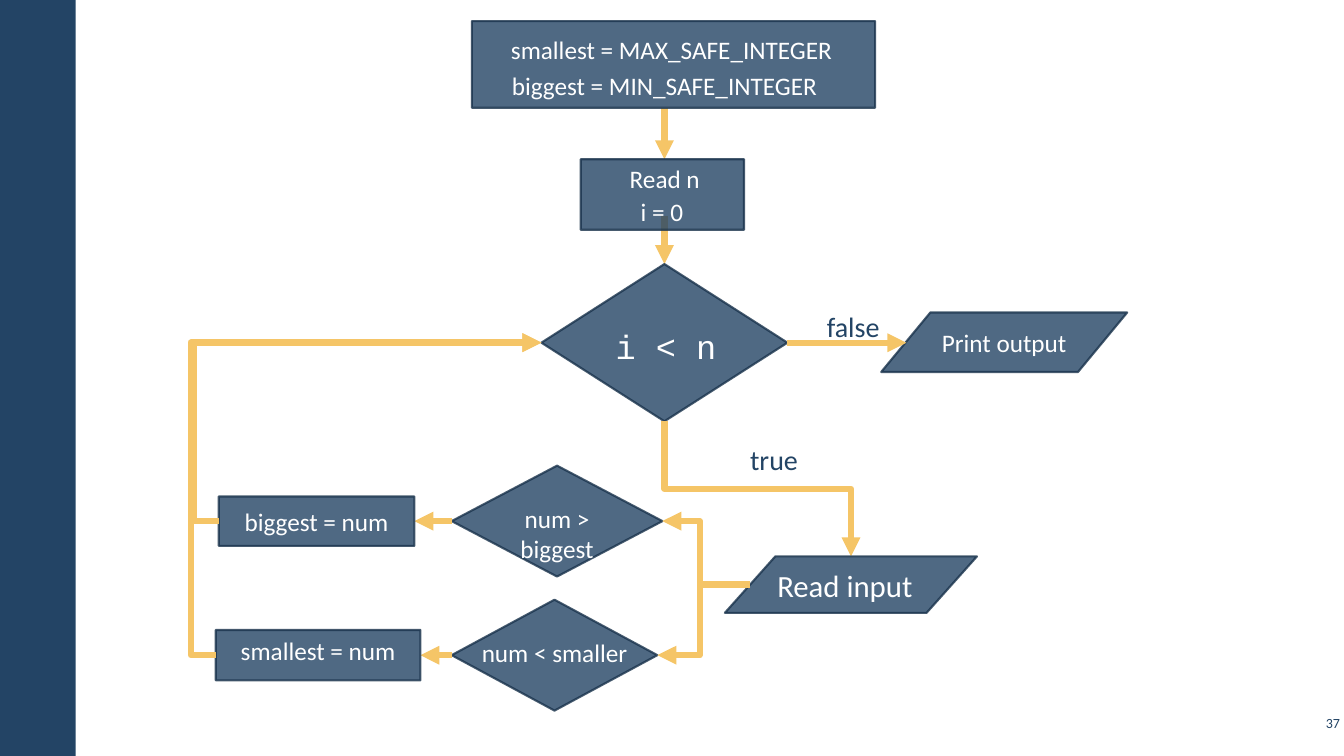
from pptx import Presentation
from pptx.dml.color import RGBColor
from pptx.enum.shapes import MSO_CONNECTOR, MSO_SHAPE
from pptx.enum.text import MSO_ANCHOR, MSO_AUTO_SIZE, PP_ALIGN
from pptx.oxml.ns import qn
from pptx.util import Inches, Pt
from lxml import etree

RECT, PROCESS = MSO_SHAPE.RECTANGLE, MSO_SHAPE.FLOWCHART_PROCESS
DATA, CHOICE = MSO_SHAPE.FLOWCHART_DATA, MSO_SHAPE.FLOWCHART_DECISION
STRAIGHT, ELBOW = MSO_CONNECTOR.STRAIGHT, MSO_CONNECTOR.ELBOW
TOP, MIDDLE = MSO_ANCHOR.TOP, MSO_ANCHOR.MIDDLE
LEFT, CENTER, RIGHT = PP_ALIGN.LEFT, PP_ALIGN.CENTER, PP_ALIGN.RIGHT
FIT = MSO_AUTO_SIZE.SHAPE_TO_FIT_TEXT
NAVY, EDGE, GOLD, WHITE = "234465", "1A334C", "F5C567", "FFFFFF"
AXIS = 6.59  # centre line of the main flow


def color(code):
    return RGBColor.from_string(code)


def apply(item, values):
    for name, value in values.items():
        setattr(item, name, value)


def add(parent, tag, **attrs):
    return etree.SubElement(parent, qn(tag), attrs)


def write(frame, text, size=18, ink=WHITE, font="Calibri", align=CENTER,
          space=None, pads=(0.1, 0.05), anchor=TOP, wrap=True):
    across, down = map(Inches, pads)
    apply(frame, dict(word_wrap=wrap, vertical_anchor=anchor,
                      margin_left=across, margin_right=across,
                      margin_top=down, margin_bottom=down))
    for i, line in enumerate(text.split("\n")):
        para = frame.add_paragraph() if i else frame.paragraphs[0]
        apply(para, dict(alignment=align, line_spacing=space))
        run = para.add_run()
        run.text = line
        apply(run.font, dict(size=Pt(size), name=font))
        run.font.color.rgb = color(ink)


def label(slide, box, text, **style):
    item = slide.shapes.add_textbox(*map(Inches, box))
    write(item.text_frame, text, **style)
    item.text_frame.auto_size = FIT


def node(slide, kind, box):
    item = slide.shapes.add_shape(kind, *map(Inches, box))
    item.shadow.inherit = False
    item.fill.solid()
    item.fill.fore_color.rgb = color(NAVY)
    item.line.color.rgb = color(EDGE)
    item.line.width = Pt(1.5)
    for tone in item._element.spPr.iter(qn("a:srgbClr")):
        add(tone, "a:alpha", val="80000")
    return item


def link(slide, start, end, bend=None, down=False):
    """Arrow; bend is the turn's distance from start, 0 for a single corner."""
    (x1, y1), (x2, y2) = start, end
    run = x2 - x1
    if down:  # leaves vertically: lay out sideways, then turn by 90 degrees
        cx, cy, w, h = (x1 + x2) / 2, (y1 + y2) / 2, x2 - x1, y2 - y1
        x1, y1, x2, y2 = cx - h / 2, cy + w / 2, cx + h / 2, cy - w / 2
        run = h
    kind = STRAIGHT if bend is None else ELBOW
    item = slide.shapes.add_connector(kind, *map(Inches, (x1, y1, x2, y2)))
    item.line.color.rgb = color(GOLD)
    item.line.width = Pt(4.5)
    props = item._element.spPr
    add(props.find(qn("a:ln")), "a:tailEnd", type="triangle")
    add(props, "a:effectLst")
    if down:
        props.find(qn("a:xfrm")).set("rot", "5400000")
    shape = props.find(qn("a:prstGeom"))
    if bend == 0:
        shape.set("prst", "bentConnector2")
    elif bend:
        add(shape.find(qn("a:avLst")), "a:gd", name="adj1",
            fmla=f"val {round(bend / run * 100000)}")


# Side band and page number
def frame(slide, width, height):
    band = slide.shapes.add_shape(RECT, 0, 0, Inches(0.75), Inches(height))
    band.shadow.inherit = False
    band.fill.solid()
    band.fill.fore_color.rgb = color(NAVY)
    band.line.fill.background()
    label(slide, (width - 0.47, height - 0.5, 0.47, 0.34), "37", size=10,
          ink=NAVY, align=RIGHT, pads=(0.04, 0.04), anchor=MIDDLE)


# Starting values
def setup(slide, x, y, w, h):
    link(slide, (AXIS, y + h), (AXIS, y + 1.37))
    node(slide, RECT, (x, y, w, h))
    label(slide, (x, y + 0.44, 3.82, 0.4), "biggest = MIN_SAFE_INTEGER", wrap=False)
    label(slide, (x - 0.09, y + 0.08, 4.14, 0.4), "smallest = MAX_SAFE_INTEGER")


def count(slide, x, y, w, h):
    link(slide, (AXIS, y + 0.56), (AXIS, y + 1.04))
    node(slide, RECT, (x, y, w, h))
    label(slide, (x + 0.05, y - 0.11, 1.51, 0.94), " Read n\ni = 0",
          space=1.1, pads=(0.16, 0.12))


# Loop condition with its two ways out
def test(slide, x, y, w, h):
    mid = y + h / 2
    node(slide, CHOICE, (x, y, w, h))
    label(slide, (x + 0.08, y + 0.56, 2.31, 0.47), "i < n", size=24,
          font="Courier New")
    out = node(slide, DATA, (x + 3.37, y + 0.48, w, 0.59))
    write(out.text_frame, "Print output", anchor=MIDDLE)
    link(slide, (x + w, mid), (x + 3.62, mid))
    link(slide, (AXIS, y + h), (8.44, 5.52), bend=0.67, down=True)
    for text, dx, dy in (("true", 1.91, 1.62), ("false", 2.67, 0.3)):
        label(slide, (x + dx, y + dy, 0.85, 0.59), text, size=20, ink=NAVY,
              align=LEFT, space=1.1, pads=(0.16, 0.12), wrap=False)


# Input, feeding both comparisons
def read(slide, x, y, w, h):
    mid = y + h / 2
    node(slide, DATA, (x, y, w, h))
    label(slide, (x + 0.41, y + 0.05, 1.56, 0.47), "Read input", size=22, wrap=False)
    link(slide, (x - 0.25, mid), (6.52, 6.5), bend=0, down=True)
    link(slide, (x + 0.25, mid), (6.57, 5.17), bend=-0.5)


# One comparison, its update, and the way back to the condition
def track(slide, x, y, w, h, ask, gap, back, span, tall, update, rise):
    mid = y + h / 2
    node(slide, CHOICE, (x, y, w, h))
    label(slide, (x + gap, y + 0.32, w - 2 * gap, 0.4), ask)
    link(slide, (x, mid), (back + span, mid))
    box = (back, mid - tall / 2, span, tall)
    node(slide, PROCESS, box)
    label(slide, (back, mid - rise, span, 0.4), update)
    link(slide, (back, mid), (5.37, 3.4), bend=-0.25)


def main():
    deck = Presentation()
    deck.slide_width, deck.slide_height = Inches(13.33), Inches(7.5)
    slide = deck.slides.add_slide(deck.slide_layouts[6])
    frame(slide, 13.33, 7.5)
    setup(slide, 4.68, 0.21, 4, 0.86)
    count(slide, 5.76, 1.58, 1.62, 0.7)
    test(slide, 5.37, 2.62, 2.44, 1.56)
    track(slide, 4.48, 5.95, 2.04, 1.1, "num < smaller", 0.08,
          2.14, 2.03, 0.5, "smallest = num", 0.25)
    track(slide, 4.48, 4.62, 2.09, 1.1, "num > biggest", 0.24,
          2.17, 1.94, 0.49, "biggest = num", 0.2)
    read(slide, 7.19, 5.52, 2.5, 0.56)
    deck.save("out.pptx")


if __name__ == "__main__":
    main()
